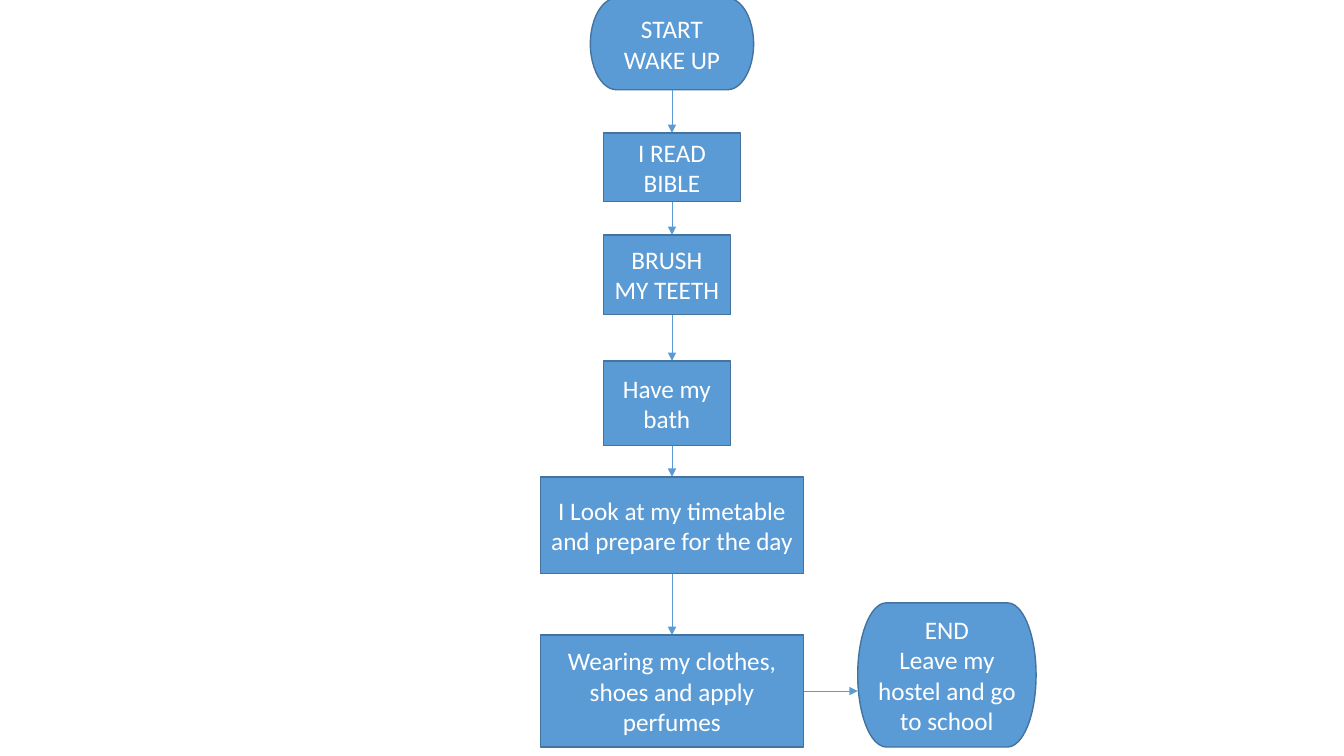
from pptx import Presentation
from pptx.dml.color import RGBColor
from pptx.enum import shapes, text
from pptx.oxml.ns import qn
from pptx.util import Pt
from lxml import etree

COLORS = {"fill": "5B9BD5", "outline": "43739E", "text": "FFFFFF"}
AXIS = 480
STEP_LEFT = 431

# kind, lines, left (None = centred on the axis), top, width, height
STEPS = [
    ("terminator", ["START", "WAKE UP"], None, -1.4, 116.6, 65.5),
    ("process", ["I READ BIBLE"], None, 95, 98, 49),
    ("process", ["BRUSH MY TEETH"], STEP_LEFT, 167.8, 90.7, 56.9),
    ("process", ["Have my bath"], STEP_LEFT, 257.8, 90.7, 60.5),
    ("process", ["I Look at my timetable and prepare for the day"], None, 340.6, 188, 69.1),
    ("process", ["Wearing my clothes, shoes and apply perfumes"], None, 453.6, 188, 80),
]
END = ("terminator", ["END", "Leave my hostel and go to school"], 612.7, 430.6, 127.4, 103)
KINDS = {
    "terminator": shapes.MSO_SHAPE.FLOWCHART_TERMINATOR,
    "process": shapes.MSO_SHAPE.FLOWCHART_PROCESS,
}
FONT = {"name": "Calibri", "size": Pt(18)}


def rgb(name):
    return RGBColor.from_string(COLORS[name])


def add_step(s, kind, lines, left, top, width, height):
    if left is None:
        left = AXIS - width / 2
    sp = s.shapes.add_shape(KINDS[kind], Pt(left), Pt(top), Pt(width), Pt(height))
    sp.shadow.inherit = False
    sp.fill.solid()
    sp.fill.fore_color.rgb = rgb("fill")
    sp.line.color.rgb = rgb("outline")
    sp.line.width = Pt(1)
    tf = sp.text_frame
    tf.word_wrap = True
    tf.vertical_anchor = text.MSO_ANCHOR.MIDDLE
    for i, line in enumerate(lines):
        p = tf.paragraphs[0] if i == 0 else tf.add_paragraph()
        p.alignment = text.PP_ALIGN.CENTER
        r = p.add_run()
        r.text = line
        for key, value in FONT.items():
            setattr(r.font, key, value)
        r.font.color.rgb = rgb("text")
    return sp


def add_arrow(s, x1, y1, x2, y2):
    c = s.shapes.add_connector(shapes.MSO_CONNECTOR.STRAIGHT, x1, y1, x2, y2)
    c.line.color.rgb = rgb("fill")
    c.line.width = Pt(0.5)
    etree.SubElement(c.line._get_or_add_ln(), qn("a:tailEnd"), type="triangle")
    etree.SubElement(c._element.spPr, qn("a:effectLst"))
    return c


def main():
    prs = Presentation()
    prs.slide_width, prs.slide_height = Pt(960), Pt(540)
    s = prs.slides.add_slide(prs.slide_layouts[6])

    steps = [add_step(s, *step) for step in STEPS]
    centred = [step[2] is None for step in STEPS]
    for i, (a, b) in enumerate(zip(steps, steps[1:])):
        c = add_arrow(s, Pt(AXIS), a.top + a.height, Pt(AXIS), b.top)
        if centred[i]:
            c.begin_connect(a, 2)
        if centred[i + 1]:
            c.end_connect(b, 0)

    end = add_step(s, *END)
    last = steps[-1]
    mid = last.top + last.height // 2
    c = add_arrow(s, last.left + last.width, mid, end.left, mid)
    c.begin_connect(last, 3)

    prs.save("out.pptx")


if __name__ == "__main__":
    main()
